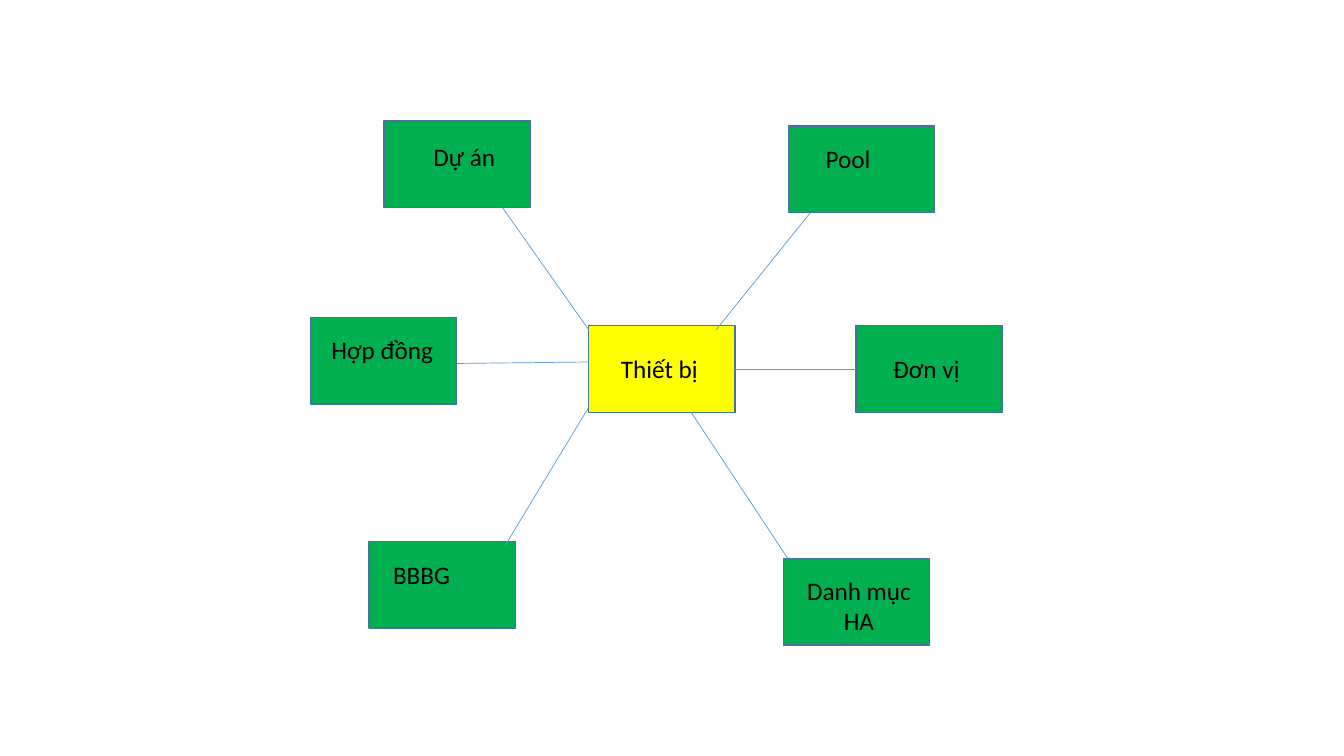
from dataclasses import dataclass
from typing import Optional

from pptx import Presentation
from pptx.dml.color import RGBColor
from pptx.enum.shapes import MSO_CONNECTOR, MSO_SHAPE
from pptx.enum.text import MSO_AUTO_SIZE, PP_ALIGN
from pptx.oxml.ns import qn
from pptx.util import Inches, Pt

RECT = MSO_SHAPE.RECTANGLE
LINE = MSO_CONNECTOR.STRAIGHT
GROW = MSO_AUTO_SIZE.SHAPE_TO_FIT_TEXT
LEFT, MID = PP_ALIGN.LEFT, PP_ALIGN.CENTER

GREEN = RGBColor(0x00, 0xB0, 0x50)
YELLOW = RGBColor(0xFF, 0xFF, 0x00)
EDGE = RGBColor(0x43, 0x73, 0x9E)
BLUE = RGBColor(0x5B, 0x9B, 0xD5)
BLACK = RGBColor(0x00, 0x00, 0x00)

WIDE, HIGH = Inches(13.33), Inches(7.5)
BOX_W, BOX_H = 10.88, 11.47

Pair = tuple[float, float]


@dataclass(frozen=True)
class Label:
    text: str
    shift: Pair
    width: float = 8.85
    height: float = 5.33
    align: PP_ALIGN = LEFT


@dataclass(frozen=True)
class Link:
    hub: Pair
    node: Pair


@dataclass(frozen=True)
class Node:
    left: float
    top: float
    label: Label
    link: Optional[Link] = None
    fill: RGBColor = GREEN

    def point(self, share: Pair) -> tuple[int, int]:
        return (across(self.left + share[0] * BOX_W),
                down(self.top + share[1] * BOX_H))


HUB = Node(43.81, 43.07, Label("Thiết bị", (1.65, 3.07)), fill=YELLOW)
NODES = [
    Node(28.58, 16, Label("Dự án", (2.93, 2), 6.83),
         Link((0, 0.05), (0.81, 1))),
    Node(58.66, 16.67, Label("Pool", (2.03, 1.6)),
         Link((0.87, 0.05), (0.15, 1))),
    Node(63.69, 43.07, Label("Đơn vị", (2.03, 3.07)),
         Link((1, 0.5), (0, 0.5))),
    Node(58.29, 73.87, Label("Danh mục HA", (0.37, 1.6), 10.5, 9.47, MID),
         Link((0.7, 1), (0.03, 0))),
    Node(27.46, 71.6, Label("BBBG", (1.05, 1.73)),
         Link((0, 0.94), (0.93, 0.05))),
    Node(23.11, 42, Label("Hợp đồng", (0.82, 1.6), 10.13),
         Link((0, 0.42), (1, 0.53))),
]


def across(share: float) -> int:
    return round(WIDE * share / 100)


def down(share: float) -> int:
    return round(HIGH * share / 100)


def draw_box(slide, node: Node) -> None:
    box = slide.shapes.add_shape(RECT, across(node.left), down(node.top),
                                 across(BOX_W), down(BOX_H))
    box.shadow.inherit = False
    box.fill.solid()
    box.fill.fore_color.rgb = node.fill
    box.line.color.rgb = EDGE
    box.line.width = Pt(1)


def draw_label(slide, node: Node) -> None:
    label = node.label
    box = slide.shapes.add_textbox(
        across(node.left + label.shift[0]), down(node.top + label.shift[1]),
        across(label.width), down(label.height))
    frame = box.text_frame
    frame.word_wrap = True
    frame.auto_size = GROW
    para = frame.paragraphs[0]
    para.alignment = label.align
    run = para.add_run()
    run.text = label.text
    run.font.name = "Calibri"
    run.font.size = Pt(18)
    run.font.color.rgb = BLACK


def draw_link(slide, node: Node, link: Link) -> None:
    line = slide.shapes.add_connector(LINE, *HUB.point(link.hub),
                                      *node.point(link.node))
    line.line.color.rgb = BLUE
    line.line.width = Pt(0.5)
    props = line._element.spPr
    props.append(props.makeelement(qn("a:effectLst"), {}))


def main() -> None:
    deck = Presentation()
    deck.slide_width, deck.slide_height = WIDE, HIGH
    slide = deck.slides.add_slide(deck.slide_layouts[6])
    for node in [HUB, *NODES]:
        draw_box(slide, node)
        draw_label(slide, node)
    for node in NODES:
        if node.link:
            draw_link(slide, node, node.link)
    deck.save("out.pptx")


main()
